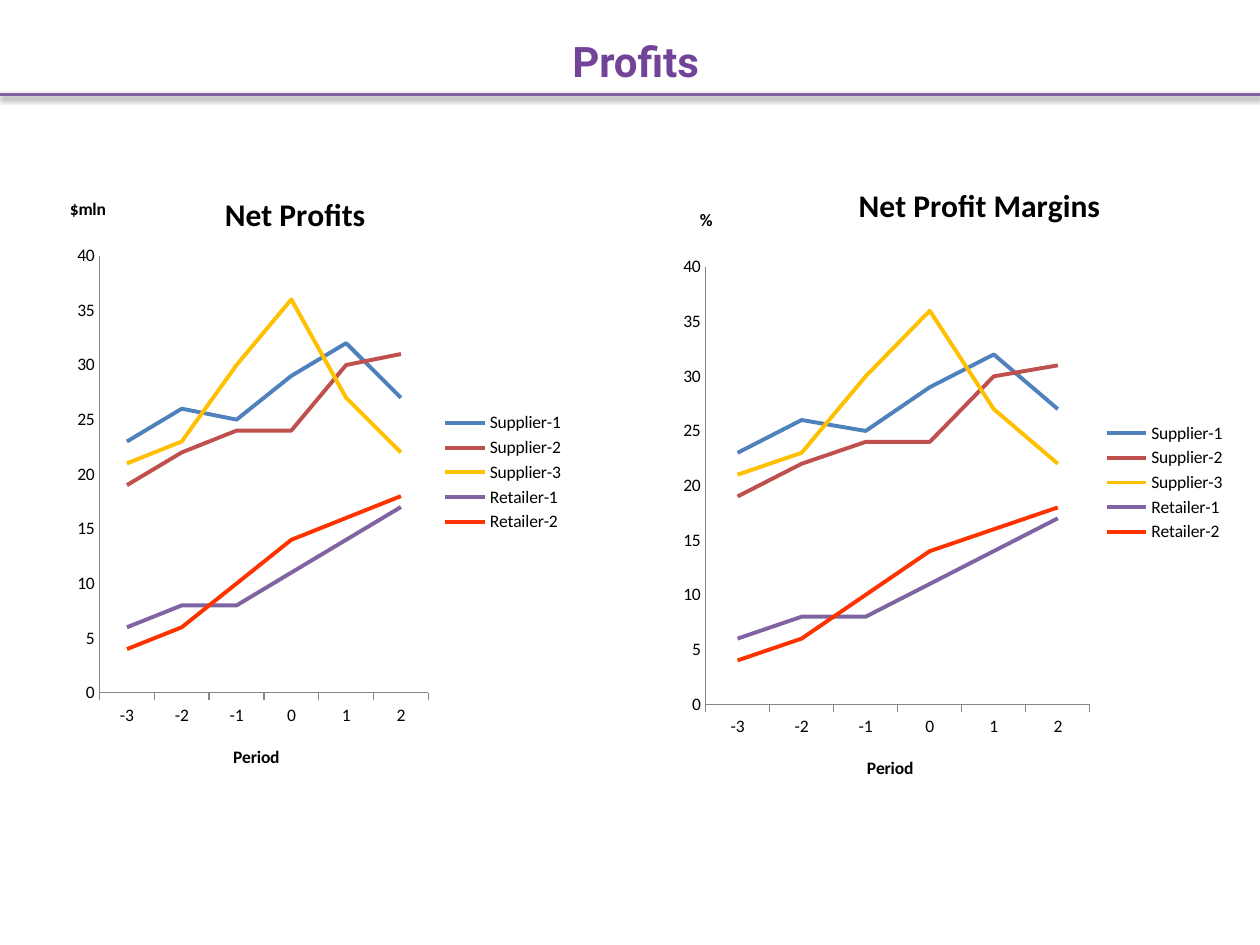
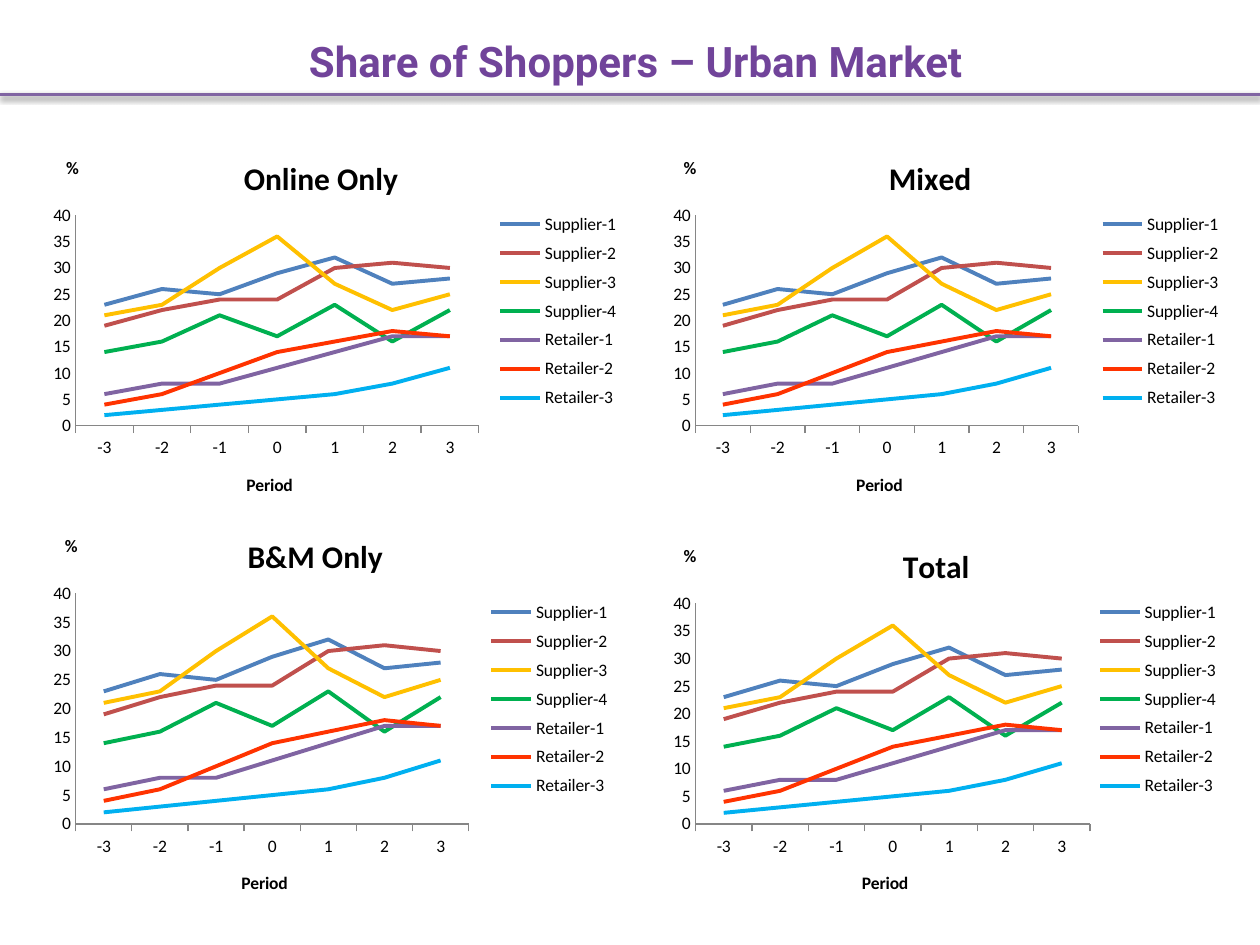
from dataclasses import dataclass

import lxml.etree
import pptx
import pptx.chart.data
import pptx.dml.color
import pptx.enum.chart
import pptx.enum.shapes
import pptx.enum.text
import pptx.oxml
import pptx.oxml.ns
import pptx.util

Inches = pptx.util.Inches
Pt = pptx.util.Pt
qn = pptx.oxml.ns.qn


@dataclass(frozen=True)
class Theme:
    title_font: str = "Roboto"
    body_font: str = "Calibri"
    title_color: str = "71449A"
    rule_color: str = "8064A2"
    text_color: str = "000000"
    axis_color: str = "868686"
    title_size: int = 24
    chart_title_size: int = 18
    chart_text_size: int = 10
    rule_width: float = 2
    series_width: float = 2.25
    axis_width: float = 0.75


SERIES_COLORS = {
    "Supplier-1": "4F81BD",
    "Supplier-2": "C0504D",
    "Supplier-3": "FFC000",
    "Supplier-4": "00B050",
    "Retailer-1": "8064A2",
    "Retailer-2": "FF3300",
    "Retailer-3": "00B0F0",
}

PERIODS = ["-3", "-2", "-1", "0", "1", "2", "3"]
SHARES = {
    "Supplier-1": [23, 26, 25, 29, 32, 27, 28],
    "Supplier-2": [19, 22, 24, 24, 30, 31, 30],
    "Supplier-3": [21, 23, 30, 36, 27, 22, 25],
    "Supplier-4": [14, 16, 21, 17, 23, 16, 22],
    "Retailer-1": [6, 8, 8, 11, 14, 17, 17],
    "Retailer-2": [4, 6, 10, 14, 16, 18, 17],
    "Retailer-3": [2, 3, 4, 5, 6, 8, 11],
}
# Profits cover the same companies without the entrants, up to period 2.
ENTRANTS = ("Supplier-4", "Retailer-3")
PROFITS = {name: vals[:-1] for name, vals in SHARES.items() if name not in ENTRANTS}

RULE_SHADOW = (
    '<a:effectLst xmlns:a="http://schemas.openxmlformats.org/drawingml/2006/main">'
    '<a:outerShdw blurRad="40000" dist="20000" dir="5400000" rotWithShape="0">'
    '<a:srgbClr val="000000"><a:alpha val="38000"/></a:srgbClr>'
    "</a:outerShdw></a:effectLst>"
)


def rgb(color):
    return pptx.dml.color.RGBColor.from_string(color)


def set_layout(element, frame, left, top, width=None, height=None):
    """Place a chart part, given in slide inches, as fractions of the chart frame."""
    for old in element.findall(qn("c:layout")):
        element.remove(old)
    layout = pptx.oxml.parse_xml(
        '<c:layout xmlns:c="http://schemas.openxmlformats.org/drawingml/2006/chart"/>')
    manual = lxml.etree.SubElement(layout, qn("c:manualLayout"))
    x, y, w, h = frame
    values = {"xMode": "edge", "yMode": "edge",
              "x": (left - x) / w, "y": (top - y) / h}
    if width:
        values.update(w=width / w, h=height / h)
    if element.tag == qn("c:plotArea"):
        values = {"layoutTarget": "inner", **values}
    for name, value in values.items():
        text = value if isinstance(value, str) else f"{value:.4f}"
        lxml.etree.SubElement(manual, qn(f"c:{name}")).set("val", text)
    overlay = element.find(qn("c:overlay"))
    if overlay is None:
        element.insert(0, layout)
    else:
        overlay.addprevious(layout)


class Deck:
    def __init__(self, theme):
        self.theme = theme
        self.prs = pptx.Presentation()
        self.prs.slide_width, self.prs.slide_height = Inches(10), Inches(7.5)
        self.s = None

    def add_slide(self, title):
        self.s = self.prs.slides.add_slide(self.prs.slide_layouts[6])
        self.rule(0.75)
        self.title(title)

    def style(self, font, size, color, bold=True, name=None):
        font.size, font.bold = Pt(size), bold
        font.name = name or self.theme.body_font
        font.color.rgb = rgb(color)

    def run(self, p, text, *style, **options):
        r = p.add_run()
        r.text = text
        self.style(r.font, *style, **options)

    def title(self, text):
        t = self.theme
        sp = self.s.shapes.add_textbox(Inches(0.17), Inches(0.05), Inches(9.75), Inches(0.87))
        tf = sp.text_frame
        tf.word_wrap = True
        tf.vertical_anchor = pptx.enum.text.MSO_ANCHOR.MIDDLE
        p = tf.paragraphs[0]
        p.alignment = pptx.enum.text.PP_ALIGN.CENTER
        self.run(p, text, t.title_size, t.title_color, name=t.title_font)

    def rule(self, y):
        """Draw the shadowed line under the slide title."""
        line = self.s.shapes.add_connector(
            pptx.enum.shapes.MSO_CONNECTOR.STRAIGHT, 0, Inches(y), Inches(10), Inches(y))
        line.line.color.rgb = rgb(self.theme.rule_color)
        line.line.width = Pt(self.theme.rule_width)
        line.element.spPr.append(pptx.oxml.parse_xml(RULE_SHADOW))

    def chart_label(self, holder, text, size, frame, left, top):
        """Write a chart or axis title, horizontal, at a fixed place."""
        self.run(holder.text_frame.paragraphs[0], text, size, self.theme.text_color)
        body = holder.element.find(".//" + qn("a:bodyPr"))
        body.set("rot", "0")
        body.set("vert", "horz")
        set_layout(holder.element, frame, left, top)

    def line_chart(self, title, unit, series, frame, plot, title_at, unit_left,
                   period_gap, legend_at=None):
        """Frame and plot are left, top, width, height in slide inches."""
        t = self.theme
        data = pptx.chart.data.CategoryChartData(number_format="General")
        data.categories = PERIODS[:len(series["Supplier-1"])]
        for name, vals in series.items():
            data.add_series(name, vals)
        chart = self.s.shapes.add_chart(
            pptx.enum.chart.XL_CHART_TYPE.LINE, *map(Inches, frame), data).chart
        self.style(chart.font, t.chart_text_size, t.text_color, bold=False)
        chart.plots[0].vary_by_categories = False
        for ser in chart.plots[0].series:
            ser.smooth = False
            ser.format.line.color.rgb = rgb(SERIES_COLORS[ser.name])
            ser.format.line.width = Pt(t.series_width)

        tick = pptx.enum.chart.XL_TICK_MARK
        periods, values = chart.category_axis, chart.value_axis
        for axis, mark in ((periods, tick.OUTSIDE), (values, tick.NONE)):
            axis.has_major_gridlines = False
            axis.major_tick_mark, axis.minor_tick_mark = mark, tick.NONE
            axis.format.line.color.rgb = rgb(t.axis_color)
            axis.format.line.width = Pt(t.axis_width)
        values.minimum_scale, values.maximum_scale, values.major_unit = 0, 40, 5

        left, top, width, height = plot
        set_layout(chart.element.find(".//" + qn("c:plotArea")), frame, *plot)
        self.chart_label(chart.chart_title, title, t.chart_title_size, frame, *title_at)
        self.chart_label(values.axis_title, unit, t.chart_text_size, frame,
                         unit_left, top - 0.49)
        self.chart_label(periods.axis_title, "Period", t.chart_text_size, frame,
                         left + width / 2 - 0.27, top + height + period_gap)

        chart.has_legend = True
        chart.legend.position = pptx.enum.chart.XL_LEGEND_POSITION.RIGHT
        chart.legend.include_in_layout = False
        if legend_at:
            set_layout(chart.element.find(".//" + qn("c:legend")), frame,
                       *legend_at, 0.98, 1.68)


def main():
    deck = Deck(Theme())

    deck.add_slide("Profits")
    deck.line_chart("Net Profits", "$mln", PROFITS, (0, 1.25, 4.58, 5),
                    (0.79, 2.03, 2.61, 3.47), (1.74, 1.48), 0.53, 0.39)
    deck.line_chart("Net Profit Margins", "%", PROFITS, (5, 1.33, 4.83, 5),
                    (5.6, 2.12, 3.05, 3.47), (6.77, 1.41), 5.53, 0.39)

    deck.add_slide("Share of Shoppers – Urban Market")
    markets = [
        ("Online Only", (0, 1, 5, 3.08), (0.6, 1.71, 3.2, 1.67),
         (1.89, 1.2), 0.5, (3.94, 1.63)),
        ("Mixed", (4.92, 1, 4.83, 3.08), (5.52, 1.71, 3.04, 1.67),
         (7.01, 1.2), 5.4, (8.72, 1.63)),
        ("B&M Only", (0, 4, 4.92, 3.25), (0.6, 4.71, 3.12, 1.83),
         (1.92, 4.2), 0.49, (3.87, 4.71)),
        ("Total", (4.92, 4.08, 4.92, 3.17), (5.52, 4.79, 3.13, 1.75),
         (7.12, 4.28), 5.4, (8.7, 4.71)),
    ]
    for market, frame, plot, title_at, unit_left, legend_at in markets:
        deck.line_chart(market, "%", SHARES, frame, plot, title_at, unit_left,
                        0.35, legend_at)

    deck.prs.save("out.pptx")


if __name__ == "__main__":
    main()
